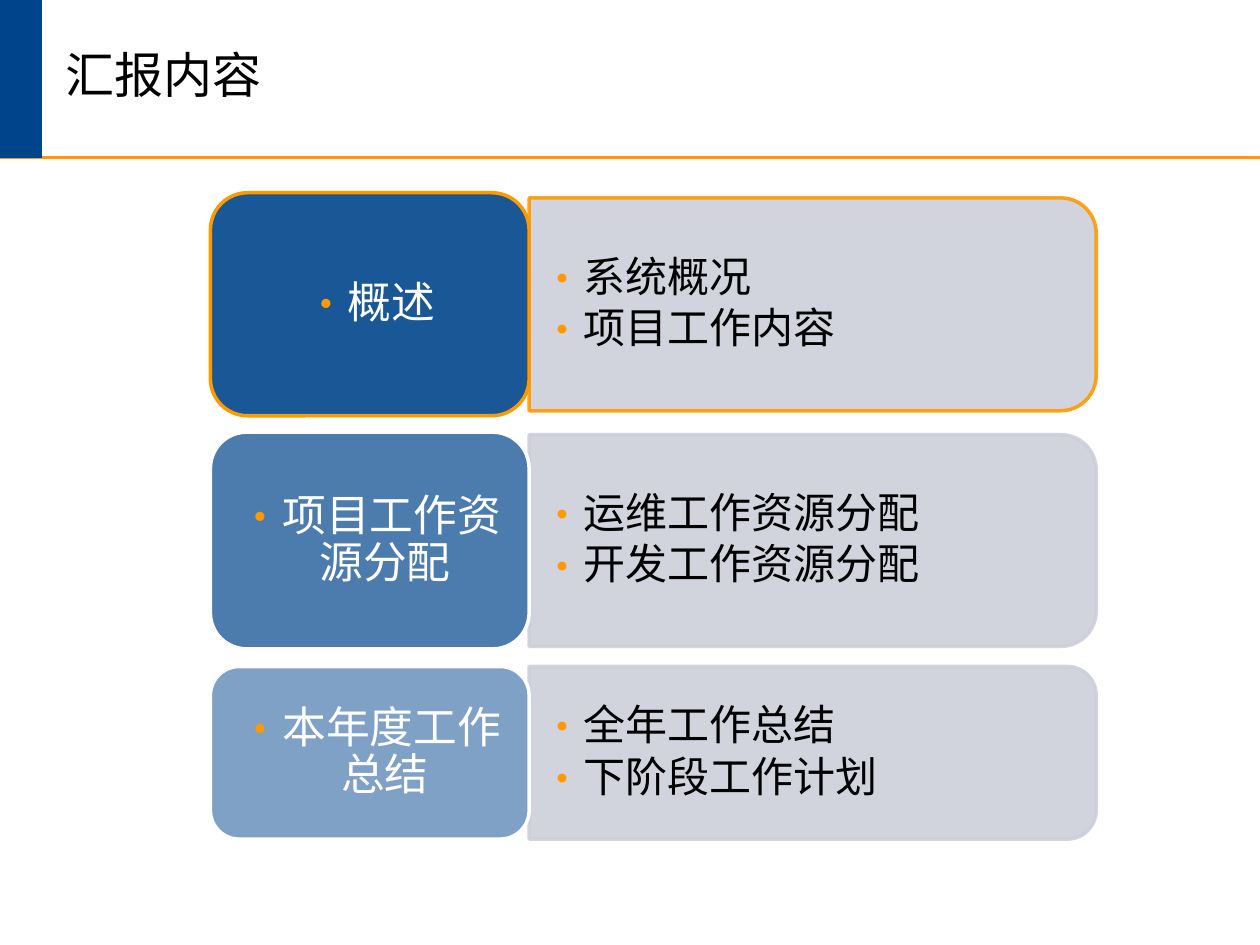
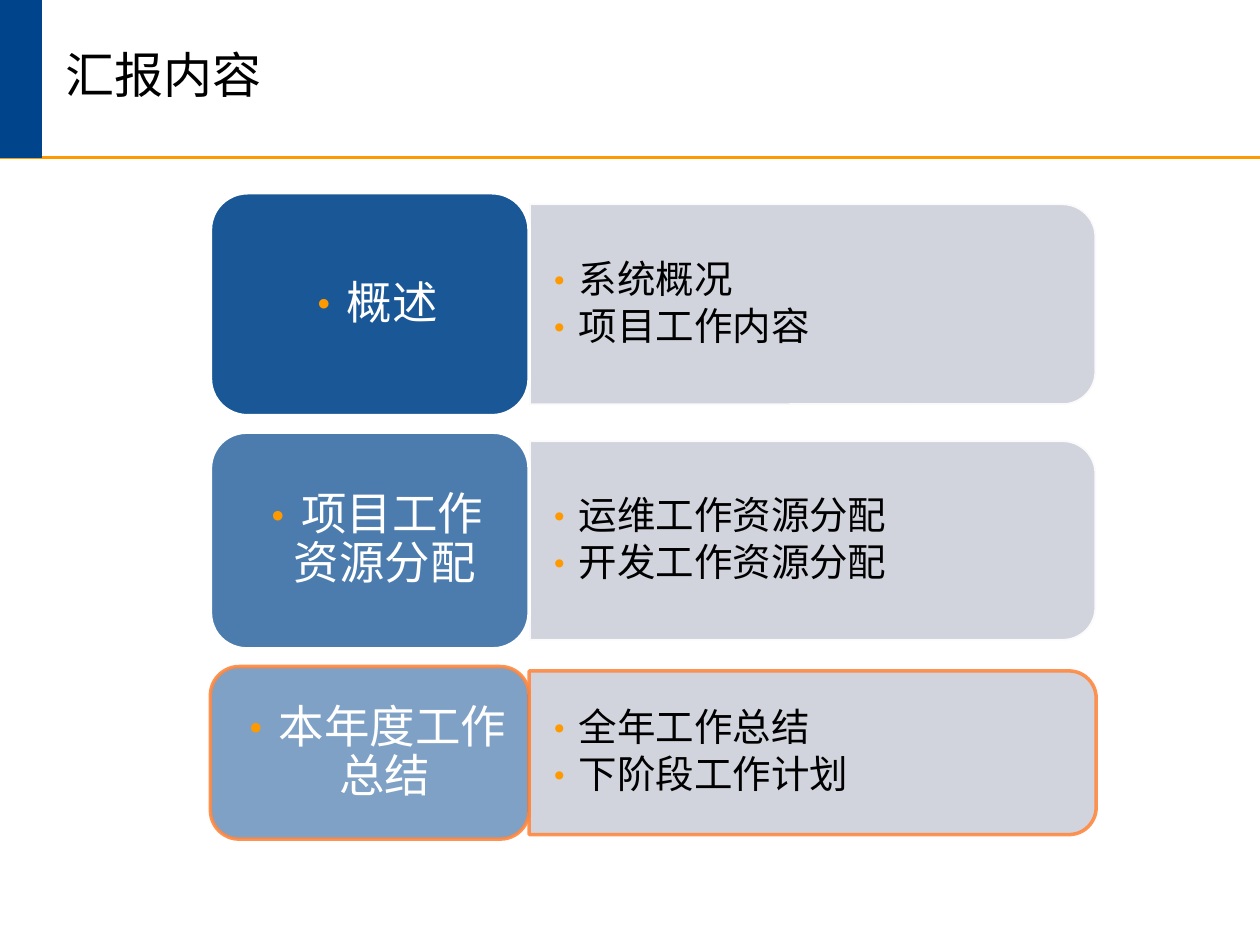
from dataclasses import dataclass

from lxml.etree import SubElement
from pptx import Presentation
from pptx.dml.color import RGBColor
from pptx.enum.shapes import MSO_CONNECTOR, MSO_SHAPE as SHAPE
from pptx.enum.text import MSO_ANCHOR, PP_ALIGN as ALIGN
from pptx.oxml.ns import qn
from pptx.util import Inches, Pt

FONT = "Noto Sans CJK SC"
NAVY, ORANGE, CORAL = "00458C", "FF9900", "FF8840"
GREY, WHITE, BLACK = "CCCFDA", "FFFFFF", "000000"
HEADER_H = 1.25
BLOCK_LEFT, BLOCK_W, DETAIL_W = 1.67, 2.53, 4.5
DETAIL_LEFT = BLOCK_LEFT + BLOCK_W
CORNER_INSET = 0.29 / 6


@dataclass(frozen=True)
class Box:
    left: float
    top: float
    width: float
    height: float

    def emu(self):
        return [Inches(v) for v in (self.left, self.top, self.width, self.height)]


@dataclass(frozen=True)
class Section:
    heading: str
    details: tuple[str, ...]
    top: float
    height: float
    opacity: int


@dataclass(frozen=True)
class Agenda:
    current: int
    accent: str
    accent_opacity: int
    detail_line: str
    heading_size: int
    detail_size: int
    heading_margin: float
    detail_margin: float
    detail_heights: tuple[float, ...]


@dataclass(frozen=True)
class TextStyle:
    size: int
    color: str = BLACK
    align: ALIGN = ALIGN.LEFT
    line_spacing: float = 0.9
    space_after: float = 0
    margin: float = 0.1
    indent: float = 0
    level: int = 0


SECTIONS = (
    Section("概述", ("系统概况", "项目工作内容"), 1.53, 1.77, 90),
    Section("项目工作资源分配", ("运维工作资源分配", "开发工作资源分配"), 3.43, 1.72, 70),
    Section("本年度工作总结", ("全年工作总结", "下阶段工作计划"), 5.29, 1.37, 50),
)
AGENDAS = (
    Agenda(0, ORANGE, 100, GREY, 25, 24, 0.1, 0.1, (1.69, 1.68, 1.37)),
    Agenda(2, CORAL, 90, WHITE, 26, 22, 0.11, 0.09, (1.6, 1.59, 1.3)),
)


def rgb(color: str) -> RGBColor:
    return RGBColor.from_string(color)


def set_opacity(fill, percent: int) -> None:
    if percent < 100:
        clr = fill._xPr.find(qn("a:solidFill"))[0]
        SubElement(clr, qn("a:alpha"), val=str(percent * 1000))


def add_shape(s, kind, box: Box, fill: str, line: str, width: float,
              opacity: int = 100, line_opacity: int = 100):
    sp = s.shapes.add_shape(kind, *box.emu())
    sp.shadow.inherit = False
    sp.fill.solid()
    sp.fill.fore_color.rgb = rgb(fill)
    set_opacity(sp.fill, opacity)
    sp.line.color.rgb = rgb(line)
    sp.line.width = Pt(width)
    set_opacity(sp.line.fill, line_opacity)
    return sp


def add_bullet(p, indent: float) -> None:
    pPr = p._p.get_or_add_pPr()
    pPr.set("marL", str(Inches(indent)))
    pPr.set("indent", str(-Inches(indent)))
    SubElement(SubElement(pPr, qn("a:buClr")), qn("a:srgbClr"), val=ORANGE)
    SubElement(pPr, qn("a:buFont"), typeface=FONT)
    SubElement(pPr, qn("a:buChar"), char="•")


def add_text(s, box: Box, lines: tuple[str, ...], style: TextStyle) -> None:
    tf = s.shapes.add_textbox(*box.emu()).text_frame
    tf.word_wrap = True
    tf.vertical_anchor = MSO_ANCHOR.MIDDLE
    tf.margin_left = tf.margin_right = Inches(style.margin)
    tf.text = "\n".join(lines)
    for p in tf.paragraphs:
        p.level = style.level
        p.alignment = style.align
        p.line_spacing = style.line_spacing
        p.space_after = Pt(style.space_after)
        if style.indent:
            add_bullet(p, style.indent)
        for r in p.runs:
            r.font.name = FONT
            r.font.size = Pt(style.size)
            r.font.color.rgb = rgb(style.color)
            SubElement(r._r.get_or_add_rPr(), qn("a:ea"), typeface=FONT)


def add_header(s, title: str) -> None:
    y = Inches(HEADER_H)
    rule = s.shapes.add_connector(MSO_CONNECTOR.STRAIGHT, 0, y, Inches(10), y)
    rule.line.color.rgb = rgb(ORANGE)
    rule.line.width = Pt(1.5)
    SubElement(rule._element.spPr, qn("a:effectLst"))
    add_shape(s, SHAPE.RECTANGLE, Box(0, 0, 0.33, HEADER_H), NAVY, NAVY, 1)
    add_text(s, Box(0.42, 0, 9.33, HEADER_H), (title,),
             TextStyle(28, line_spacing=0.85))


def add_section(s, section: Section, agenda: Agenda, index: int) -> None:
    current = index == agenda.current
    middle = section.top + section.height / 2

    height = agenda.detail_heights[index]
    detail = Box(DETAIL_LEFT + (DETAIL_W - height) / 2, middle - DETAIL_W / 2,
                 height, DETAIL_W)
    line = agenda.accent if current else agenda.detail_line
    add_shape(s, SHAPE.ROUND_2_SAME_RECTANGLE, detail, GREY, line, 2, 90, 90).rotation = 90
    inset = height * CORNER_INSET
    add_text(s, Box(DETAIL_LEFT, middle - height / 2 + inset,
                    DETAIL_W - inset, height - 2 * inset), section.details,
             TextStyle(agenda.detail_size, space_after=0.15 * agenda.detail_size,
                       margin=agenda.detail_margin, indent=0.25, level=1))

    block = Box(BLOCK_LEFT, section.top, BLOCK_W, section.height)
    add_shape(s, SHAPE.ROUNDED_RECTANGLE, block, NAVY,
              agenda.accent if current else WHITE, 2, section.opacity,
              agenda.accent_opacity if current else 100)
    inset = section.height * CORNER_INSET
    add_text(s, Box(BLOCK_LEFT + inset, section.top + inset,
                    BLOCK_W - 2 * inset, section.height - 2 * inset), (section.heading,),
             TextStyle(agenda.heading_size, WHITE, ALIGN.CENTER,
                       space_after=0.35 * agenda.heading_size,
                       margin=agenda.heading_margin, indent=0.24))


def main() -> None:
    prs = Presentation()
    prs.slide_width, prs.slide_height = Inches(10), Inches(7.5)
    for agenda in AGENDAS:
        s = prs.slides.add_slide(prs.slide_layouts[6])
        add_header(s, "汇报内容")
        for index, section in enumerate(SECTIONS):
            add_section(s, section, agenda, index)
    prs.save("out.pptx")


if __name__ == "__main__":
    main()
